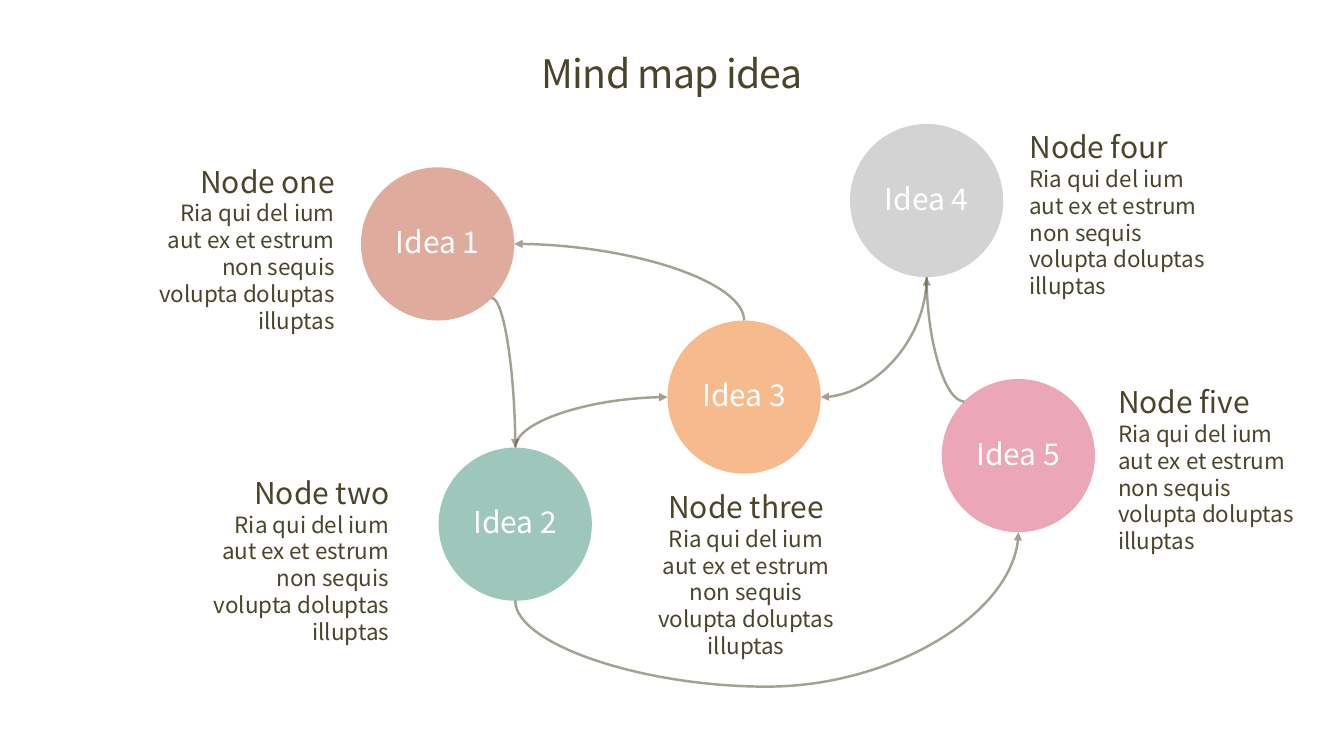
from dataclasses import dataclass
from math import cos, radians, sin

from lxml.etree import SubElement
from pptx import Presentation
from pptx.dml.color import RGBColor
from pptx.enum.shapes import MSO_CONNECTOR, MSO_SHAPE
from pptx.enum.text import MSO_ANCHOR, MSO_AUTO_SIZE, PP_ALIGN
from pptx.oxml.ns import qn
from pptx.util import Inches, Pt


@dataclass(frozen=True)
class Theme:
    font: str = "Noto Sans CJK SC"
    ink: str = "4A452A"
    white: str = "FFFFFF"
    title_size: float = 28
    heading_size: float = 21.4
    body_size: float = 16
    line_width: float = 1.75


THEME = Theme()
RADIUS = 0.76
BODY = "Ria qui del ium aut ex et estrum non sequis volupta doluptas illuptas"

# Number: centre x, centre y, fill
IDEAS = {
    1: (4.34, 2.42, "DFAB9D"),
    2: (5.11, 5.2, "9EC7BC"),
    3: (7.38, 3.94, "F7BA8D"),
    4: (9.19, 1.99, "D3D3D3"),
    5: (10.1, 4.52, "EBA7B7"),
}

# Heading, left, top, alignment
NOTES = [
    ("Node one", 1.54, 1.57, PP_ALIGN.RIGHT),
    ("Node two", 2.08, 4.66, PP_ALIGN.RIGHT),
    ("Node three", 6.51, 4.8, PP_ALIGN.CENTER),
    ("Node four", 10.21, 1.23, PP_ALIGN.LEFT),
    ("Node five", 11.09, 3.76, PP_ALIGN.LEFT),
]

# Clockwise angles on a circle's rim
RIGHT, LOWER_RIGHT, BOTTOM, LEFT, UPPER_LEFT, TOP = 0, 45, 90, 180, 225, 270

# Start (idea, angle), end (idea, angle), rotation, flips, bend of an S-curve
LINKS = [
    ((4, BOTTOM), (3, RIGHT), 90, "", None),
    ((3, TOP), (1, RIGHT), 270, "V", None),
    ((1, LOWER_RIGHT), (2, TOP), 0, "", None),
    ((2, TOP), (3, LEFT), 90, "HV", None),
    ((2, BOTTOM), (5, BOTTOM), 90, "HV", -125400),
    ((5, UPPER_LEFT), (4, BOTTOM), 180, "", None),
]


def add_span(para, text, size, color):
    span = para.add_run()
    span.text = text
    span.font.name = THEME.font
    span.font.size = Pt(size)
    span.font.color.rgb = RGBColor.from_string(color)
    return span


def set_frame(frame, vertical_margin=0, anchor=MSO_ANCHOR.TOP, wrap=True):
    frame.margin_left = frame.margin_right = 0
    frame.margin_top = frame.margin_bottom = Inches(vertical_margin)
    frame.vertical_anchor = anchor
    frame.word_wrap = wrap


def add_title(page, text):
    box = page.shapes.add_textbox(Inches(1), Inches(0.31), Inches(11.33), Inches(0.89))
    set_frame(box.text_frame, anchor=MSO_ANCHOR.MIDDLE)
    para = box.text_frame.paragraphs[0]
    para.alignment = PP_ALIGN.CENTER
    para.line_spacing = 0.86
    span = add_span(para, text, THEME.title_size, THEME.ink)
    span.font._element.set("spc", "-50")


def add_idea(page, number, x, y, fill):
    circle = page.shapes.add_shape(
        MSO_SHAPE.OVAL, Inches(x - RADIUS), Inches(y - RADIUS),
        Inches(2 * RADIUS), Inches(2 * RADIUS))
    circle.shadow.inherit = False
    circle.fill.solid()
    circle.fill.fore_color.rgb = RGBColor.from_string(fill)
    circle.line.fill.background()
    set_frame(circle.text_frame, anchor=MSO_ANCHOR.MIDDLE, wrap=False)
    para = circle.text_frame.paragraphs[0]
    para.alignment = PP_ALIGN.CENTER
    para.line_spacing = 0.9
    add_span(para, f"Idea {number}", THEME.heading_size, THEME.white)


def add_note(page, heading, left, top, alignment):
    box = page.shapes.add_textbox(Inches(left), Inches(top), Inches(1.78), Inches(1.81))
    frame = box.text_frame
    set_frame(frame, vertical_margin=0.05)
    frame.auto_size = MSO_AUTO_SIZE.SHAPE_TO_FIT_TEXT
    first, second = frame.paragraphs[0], frame.add_paragraph()
    first.alignment = second.alignment = alignment
    add_span(first, heading, THEME.heading_size, THEME.ink)
    add_span(second, BODY, THEME.body_size, THEME.ink)


def rim_point(idea, angle):
    x, y, _ = IDEAS[idea]
    turn = radians(angle)
    return x + RADIUS * cos(turn), y + RADIUS * sin(turn)


def add_link(page, start, end, rotation, flips, bend):
    (x1, y1), (x2, y2) = rim_point(*start), rim_point(*end)
    width, height = abs(x2 - x1), abs(y2 - y1)
    if rotation in (90, 270):
        width, height = height, width
    left, top = (x1 + x2 - width) / 2, (y1 + y2 - height) / 2
    link = page.shapes.add_connector(
        MSO_CONNECTOR.CURVE, Inches(left), Inches(top),
        Inches(left + width), Inches(top + height))
    link.line.width = Pt(THEME.line_width)
    link.line.color.rgb = RGBColor.from_string(THEME.ink)

    # Turn the frame and choose the curve
    properties = link._element.spPr
    transform = properties.find(qn("a:xfrm"))
    transform.set("rot", str(rotation * 60000))
    for flip in flips:
        transform.set(f"flip{flip}", "1")
    geometry = properties.find(qn("a:prstGeom"))
    if bend is None:
        geometry.set("prst", "curvedConnector2")
    else:
        guides = geometry.find(qn("a:avLst"))
        SubElement(guides, qn("a:gd"), name="adj1", fmla=f"val {bend}")

    # Half transparency, arrowhead, no shadow
    line = properties.find(qn("a:ln"))
    SubElement(line.find(".//" + qn("a:srgbClr")), qn("a:alpha"), val="50000")
    SubElement(line, qn("a:tailEnd"), type="triangle")
    SubElement(properties, qn("a:effectLst"))


def main():
    deck = Presentation()
    deck.slide_width, deck.slide_height = Inches(13.33), Inches(7.5)
    page = deck.slides.add_slide(deck.slide_layouts[6])
    add_title(page, "Mind map idea")
    for number, idea in IDEAS.items():
        add_idea(page, number, *idea)
    for note in NOTES:
        add_note(page, *note)
    for link in LINKS:
        add_link(page, *link)
    deck.save("out.pptx")


if __name__ == "__main__":
    main()
